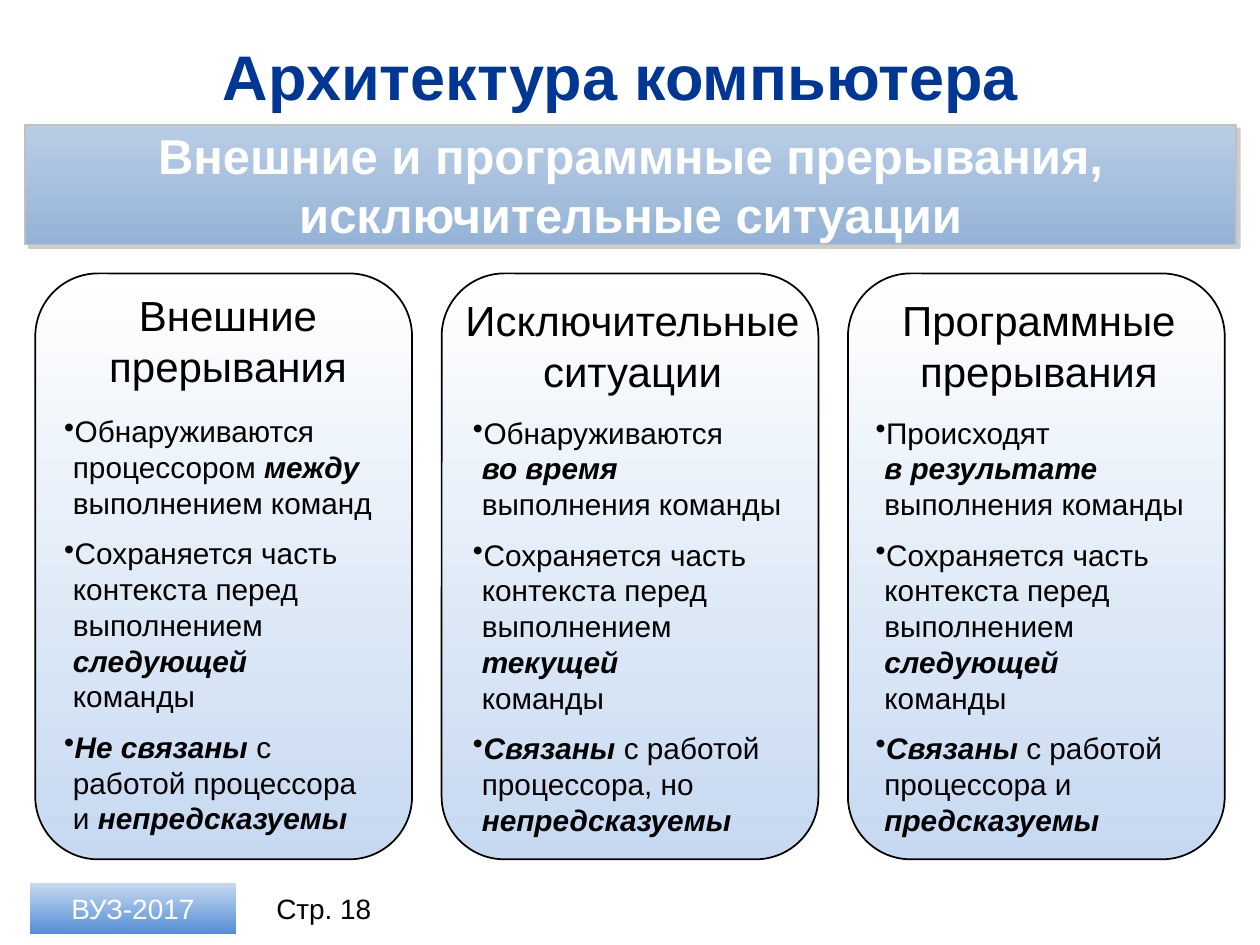
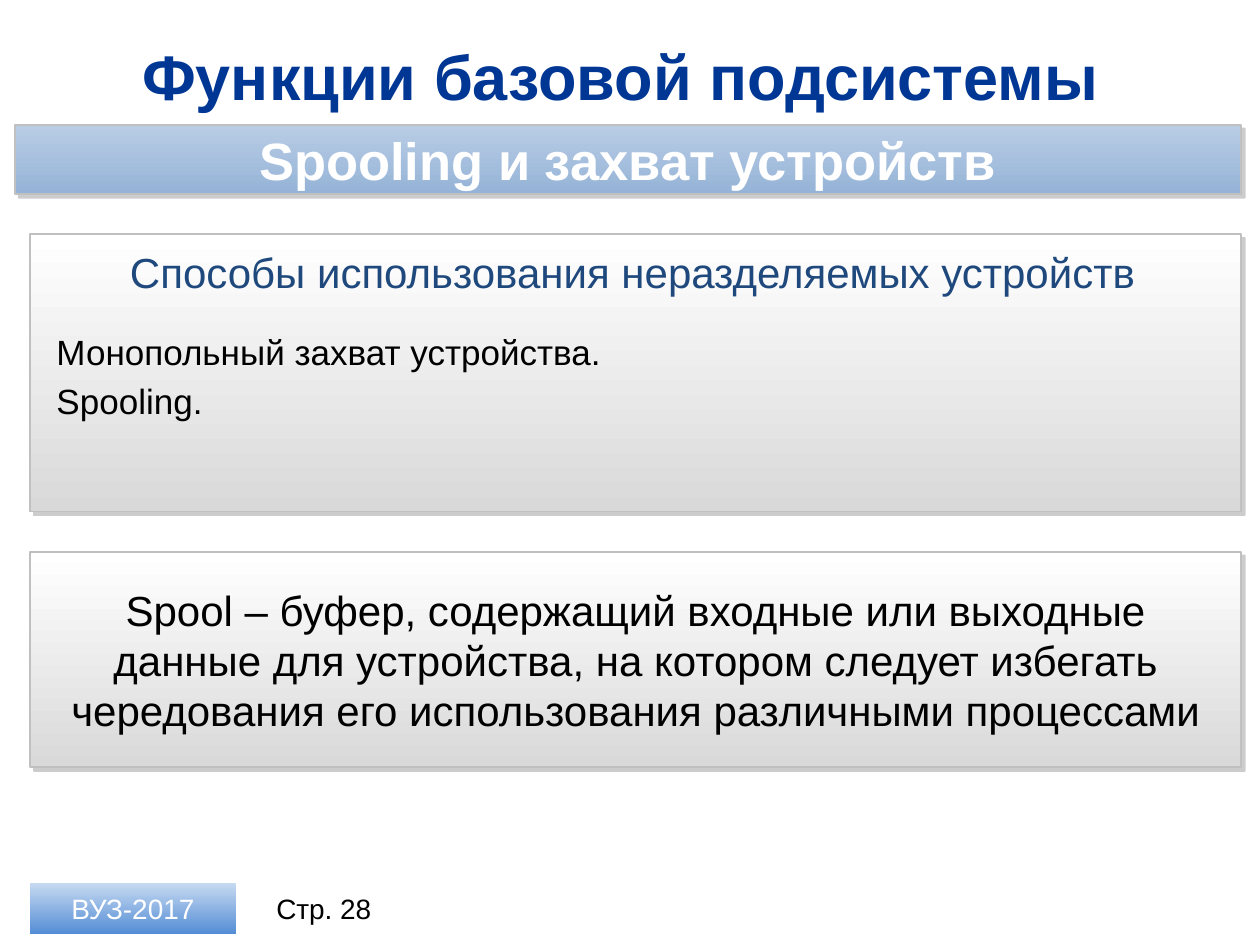
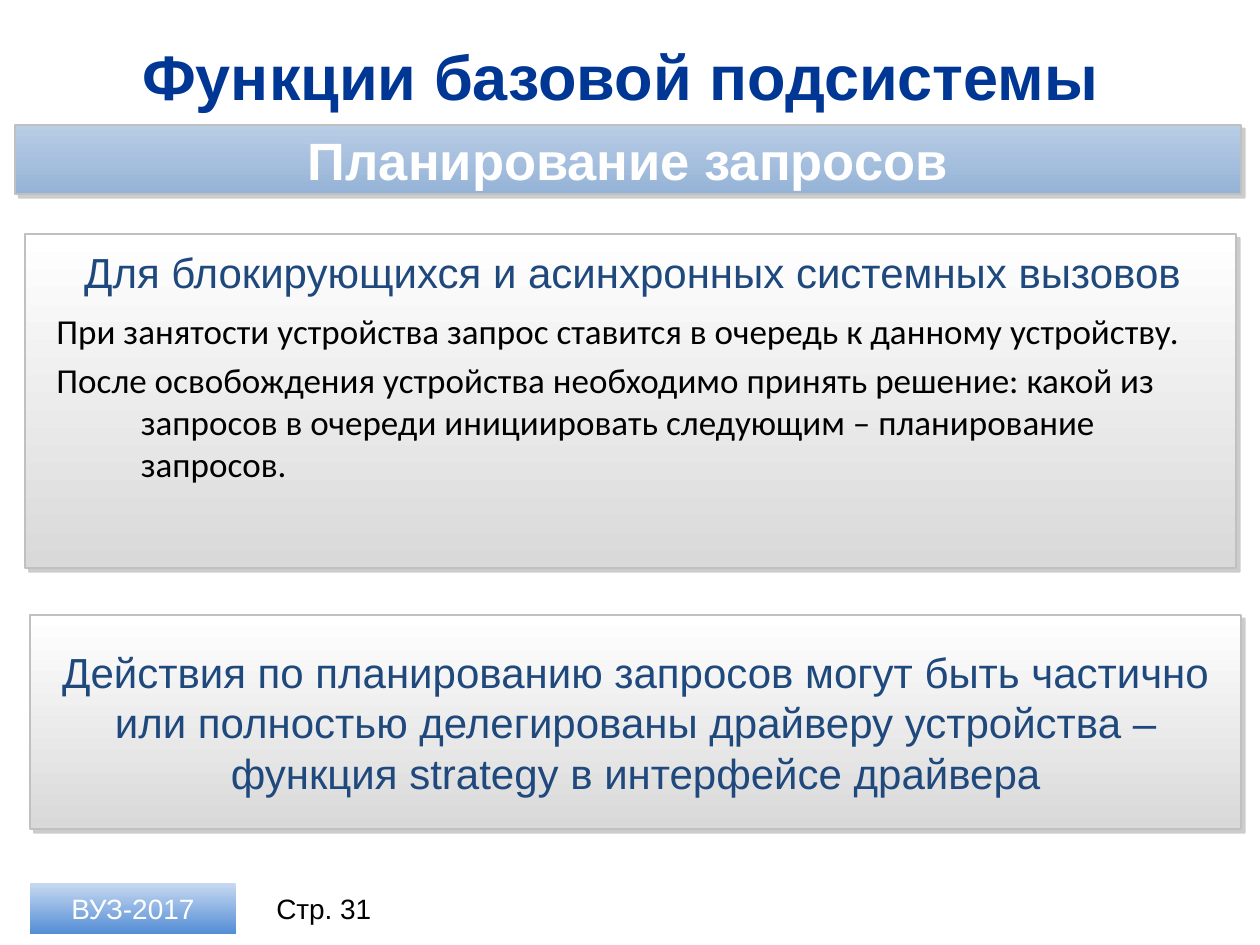
from lxml.etree import SubElement
from pptx import Presentation
from pptx.dml.color import RGBColor
from pptx.enum.shapes import MSO_SHAPE
from pptx.enum.text import MSO_ANCHOR, PP_ALIGN
from pptx.oxml.ns import qn
from pptx.util import Inches, Pt

SLIDE_WIDTH, SLIDE_HEIGHT = Inches(10), Inches(7.5)
COLUMN, ROW = SLIDE_WIDTH / 100, SLIDE_HEIGHT / 75

NAVY = RGBColor(0x00, 0x37, 0x94)
INK_BLUE = RGBColor(0x1F, 0x49, 0x7D)
BLACK = RGBColor(0x00, 0x00, 0x00)
WHITE = RGBColor(0xFF, 0xFF, 0xFF)
SILVER = RGBColor(0xC0, 0xC0, 0xC0)
SHADOW_GRAY = RGBColor(0x80, 0x80, 0x80)
PALE_BLUE = RGBColor(0xC6, 0xD9, 0xF1)
BAND_BLUES = RGBColor(0xB9, 0xCD, 0xE5), RGBColor(0x95, 0xB3, 0xD7)
FOOTER_BLUES = PALE_BLUE, RGBColor(0x55, 0x8E, 0xD5)
CARD_BLUES = WHITE, PALE_BLUE
PANEL_GRAYS = WHITE, RGBColor(0xD9, 0xD9, 0xD9)

PANEL_INSETS = {
    "margin_left": Inches(0.24), "margin_right": Inches(0.24),
    "margin_top": Inches(0.04), "margin_bottom": Inches(0.04),
}
HANGING = {"indent": Inches(0.67), "spacing": 0.2, "align": PP_ALIGN.LEFT}
BULLETED = {"indent": Inches(0.07), "spacing": 0.5, "align": PP_ALIGN.LEFT,
            "bullet": "•"}

INTERRUPT_CARDS = [
    {
        "heading": "Внешние\nпрерывания",
        "heading_at": (3.5, 22.5, 23.6, 9.1),
        "points_at": (1.3, 32.3, 29.1, 35.3),
        "points": [
            "Обнаруживаются\nпроцессором *между*\nвыполнением команд",
            "Сохраняется часть\nконтекста перед\nвыполнением\n*следующей*\nкоманды",
            "*Не связаны* с\nработой процессора\nи *непредсказуемы*",
        ],
    },
    {
        "heading": "Исключительные ситуации",
        "heading_at": (-0.8, 22.9, 31.9, 9.1),
        "points_at": (1.5, 32.4, 29.1, 35.3),
        "points": [
            "Обнаруживаются\n*во время*\nвыполнения команды",
            "Сохраняется часть\nконтекста перед\nвыполнением\n*текущей*\nкоманды",
            "*Связаны* с работой\nпроцессора, но\n*непредсказуемы*",
        ],
    },
    {
        "heading": "Программные прерывания",
        "heading_at": (-0.8, 22.9, 31.9, 9.1),
        "points_at": (1.2, 32.4, 29.1, 35.3),
        "points": [
            "Происходят\n*в результате*\nвыполнения команды",
            "Сохраняется часть\nконтекста перед\nвыполнением\n*следующей*\nкоманды",
            "*Связаны* с работой\nпроцессора и\n*предсказуемы*",
        ],
    },
]


def grid(left, top, width, height):
    return (round(left * COLUMN), round(top * ROW),
            round(width * COLUMN), round(height * ROW))


def style(target, formats):
    for attribute, value in formats.items():
        setattr(target, attribute, value)


def write_marked(paragraph, text, font):
    for row, line in enumerate(text.split("\n")):
        if row:
            paragraph.add_line_break()
        for part, words in enumerate(line.split("*")):
            if words:
                run = paragraph.add_run()
                run.text = words
                style(run.font, font)
                if part % 2:
                    style(run.font, {"bold": True, "italic": True})


def write(frame, texts, size, color, bold=False, name="Arial",
          align=PP_ALIGN.CENTER, indent=0, spacing=0, bullet=None):
    frame.word_wrap = True
    font = {"size": Pt(size), "name": name, "bold": bold}
    for index, text in enumerate(texts):
        paragraph = frame.add_paragraph() if index else frame.paragraphs[0]
        paragraph.alignment = align
        if index and spacing:
            paragraph.space_before = Pt(size * spacing)
        properties = paragraph._p.get_or_add_pPr()
        if indent:
            properties.set("marL", str(indent))
            properties.set("indent", str(-indent))
        if bullet:
            SubElement(properties, qn("a:buChar"), char=bullet)
        write_marked(paragraph, text, font)
        for run in paragraph.runs:
            run.font.color.rgb = color


def add_label(slide, place, texts, size, color=BLACK, anchor=MSO_ANCHOR.TOP, **layout):
    frame = slide.shapes.add_textbox(*grid(*place)).text_frame
    frame.vertical_anchor = anchor
    write(frame, texts, size, color, **layout)


def add_block(slide, place, shades, outline=None, preset=MSO_SHAPE.RECTANGLE):
    block = slide.shapes.add_shape(preset, *grid(*place))
    block.fill.gradient()
    block.fill.gradient_angle = 270
    for stop, shade in zip(block.fill.gradient_stops, shades):
        stop.color.rgb = shade
    if outline is None:
        block.line.fill.background()
    else:
        block.line.color.rgb = outline
        block.line.width = Pt(1)
    block.shadow.inherit = False
    block.text_frame.vertical_anchor = MSO_ANCHOR.MIDDLE
    return block


def add_panel(slide, place, shades=PANEL_GRAYS):
    panel = add_block(slide, place, shades, SILVER)
    effects = panel._element.spPr.find(qn("a:effectLst"))
    shadow = SubElement(effects, qn("a:outerShdw"), dist=str(Pt(3)),
                        dir=str(45 * 60000), algn="ctr", rotWithShape="0")
    tint = SubElement(shadow, qn("a:srgbClr"), val=str(SHADOW_GRAY))
    SubElement(tint, qn("a:alpha"), val="40000")
    style(panel.text_frame, PANEL_INSETS)
    return panel


def add_topic_slide(deck, title, page, topic, band_at, topic_size):
    slide = deck.slides.add_slide(deck.slide_layouts[5])
    heading = slide.shapes.title
    style(heading, dict(zip(("left", "top", "width", "height"),
                            grid(3.5, 2.6, 92.9, 6.8))))
    heading.text_frame.vertical_anchor = MSO_ANCHOR.MIDDLE
    write(heading.text_frame, [title], 36, NAVY, bold=True)
    band = add_panel(slide, band_at, BAND_BLUES)
    write(band.text_frame, [topic], topic_size, WHITE, bold=True)
    footer = add_block(slide, (2.4, 70.1, 16.3, 4), FOOTER_BLUES)
    write(footer.text_frame, ["ВУЗ-2017"], 16, WHITE)
    add_label(slide, (20.3, 70.1, 10.8, 4), [f"Стр. {page}"], 16,
              anchor=MSO_ANCHOR.MIDDLE)
    return slide


def add_subsystem_slide(deck, page, topic):
    return add_topic_slide(deck, "Функции базовой подсистемы ", page, topic,
                           (1.2, 9.9, 97.3, 5.5), 30)


def add_list_panel(slide, place, heading, items, items_at, font_name):
    add_panel(slide, place)
    add_label(slide, (3.5, 19.1, 93.4, 5), [heading], 24, INK_BLUE)
    add_label(slide, items_at, items, 20, name=font_name, **HANGING)


def add_statement(slide, place, statement, color):
    write(add_panel(slide, place).text_frame, [statement], 24, color)


def add_card(slide, column, card):
    card_left = 2.8 + 32.25 * column
    add_block(slide, (card_left, 21.7, 29.9, 46.5), CARD_BLUES, BLACK,
              MSO_SHAPE.ROUNDED_RECTANGLE)
    offset, *rest = card["heading_at"]
    add_label(slide, (card_left + offset, *rest), [card["heading"]], 24)
    offset, *rest = card["points_at"]
    add_label(slide, (card_left + offset, *rest), card["points"], 17, **BULLETED)


def main():
    deck = Presentation()
    style(deck, {"slide_width": SLIDE_WIDTH, "slide_height": SLIDE_HEIGHT})

    interrupts = add_topic_slide(
        deck, "Архитектура компьютера ", 18,
        "Внешние и программные прерывания, исключительные ситуации",
        (2, 9.9, 96.1, 9.5), 28)
    for column, card in enumerate(INTERRUPT_CARDS):
        add_card(interrupts, column, card)

    spooling = add_subsystem_slide(deck, 28, "Spooling и захват устройств")
    add_list_panel(
        spooling, (2.4, 18.6, 96.1, 22),
        "Способы использования неразделяемых устройств",
        ["Монопольный захват устройства.", "Spooling."],
        (3.5, 25.7, 93.4, 11), "Arial")
    add_statement(
        spooling, (2.4, 43.8, 96.1, 17.1),
        "Spool – буфер, содержащий входные или выходные данные для устройства, "
        "на котором следует избегать чередования его использования "
        "различными процессами", BLACK)

    scheduling = add_subsystem_slide(deck, 31, "Планирование запросов")
    add_list_panel(
        scheduling, (2, 18.6, 96.1, 26.5),
        "Для блокирующихся и асинхронных системных вызовов",
        ["При занятости устройства запрос ставится в очередь к данному устройству.",
         "После освобождения устройства необходимо принять решение: какой из "
         "запросов в очереди инициировать следующим – планирование запросов."],
        (3.5, 24.1, 93.4, 21.3), "Calibri")
    add_statement(
        scheduling, (2.4, 48.8, 96.1, 17),
        "Действия по планированию запросов могут быть частично или полностью "
        "делегированы драйверу устройства – функция strategy в интерфейсе драйвера",
        INK_BLUE)

    deck.save("out.pptx")


if __name__ == "__main__":
    main()
